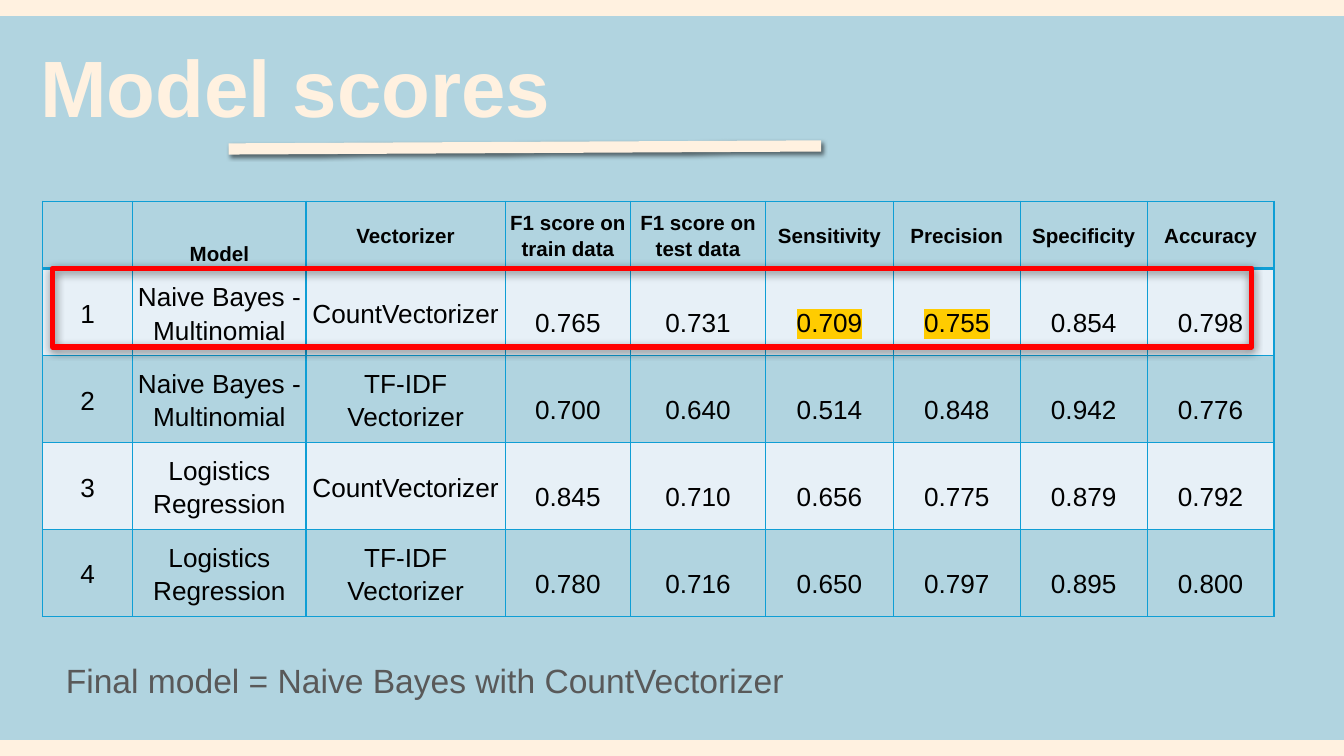
import pptx
import pptx.dml.color
import pptx.enum.shapes
import pptx.enum.text
import pptx.oxml
import pptx.oxml.ns
import pptx.util

Pt = pptx.util.Pt
Anchor = pptx.enum.text.MSO_ANCHOR
Align = pptx.enum.text.PP_ALIGN
NAMESPACE = 'xmlns:a="http://schemas.openxmlformats.org/drawingml/2006/main"'

CREAM, SKY, PALE = "FFF1E0", "B1D4E0", "E7F0F7"
BLACK, GREY, RED, BLUE, YELLOW = "000000", "595959", "FF0000", "0F9ED5", "FFCC00"

HEADERS = ["", "Model", "Vectorizer", "F1 score on train data", "F1 score on test data",
           "Sensitivity", "Precision", "Specificity", "Accuracy"]
SCORES = [
    ["1", "Naive Bayes - Multinomial", "CountVectorizer",
     "0.765", "0.731", "0.709", "0.755", "0.854", "0.798"],
    ["2", "Naive Bayes - Multinomial", "TF-IDF Vectorizer",
     "0.700", "0.640", "0.514", "0.848", "0.942", "0.776"],
    ["3", "Logistics Regression", "CountVectorizer",
     "0.845", "0.710", "0.656", "0.775", "0.879", "0.792"],
    ["4", "Logistics Regression", "TF-IDF Vectorizer",
     "0.780", "0.716", "0.650", "0.797", "0.895", "0.800"],
]
COLUMN_WIDTHS = [48.5, 92.8, 106.7, 67.2, 72.3, 68.5, 68, 68, 68]
HEADER_HEIGHT, ROW_HEIGHT = 36, 46.6
FIRST_SCORE_COLUMN = 3
HIGHLIGHTED = {(1, 5), (1, 6)}


def color(hex_string):
    return pptx.dml.color.RGBColor.from_string(hex_string)


def effects(shadow=None):
    """Effect list; shadow is (opacity %, blur, distance, direction in degrees)."""
    inner = ""
    if shadow:
        opacity, blur, distance, direction = shadow
        inner = (f'<a:outerShdw blurRad="{Pt(blur)}" dist="{Pt(distance)}" '
                 f'dir="{direction * 60000}" algn="bl" rotWithShape="0">'
                 f'<a:srgbClr val="{BLACK}"><a:alpha val="{opacity * 1000}"/></a:srgbClr>'
                 '</a:outerShdw>')
    return pptx.oxml.parse_xml(f"<a:effectLst {NAMESPACE}>{inner}</a:effectLst>")


def write(frame, text, size, hex_color, bold=False, align=Align.LEFT, anchor=Anchor.TOP,
          spacing=1.0, shadow=None, highlight=None):
    frame.word_wrap = True
    frame.vertical_anchor = anchor
    paragraph = frame.paragraphs[0]
    paragraph.alignment = align
    paragraph.line_spacing = spacing
    run = paragraph.add_run()
    run.text = text
    run.font.name = "Arial"
    run.font.size = Pt(size)
    run.font.bold = bold
    run.font.color.rgb = color(hex_color)
    fill = run.font._element.find(pptx.oxml.ns.qn("a:solidFill"))
    if highlight:
        fill.addnext(pptx.oxml.parse_xml(
            f'<a:highlight {NAMESPACE}><a:srgbClr val="{highlight}"/></a:highlight>'))
    if shadow:
        fill.addnext(effects(shadow))


def set_borders(cell, top, bottom):
    properties = cell._tc.get_or_add_tcPr()
    for side, width in (("L", 0.75), ("R", 0.75), ("T", top), ("B", bottom)):
        properties.append(pptx.oxml.parse_xml(
            f'<a:ln{side} {NAMESPACE} w="{Pt(width)}"><a:solidFill>'
            f'<a:srgbClr val="{BLUE}"/></a:solidFill></a:ln{side}>'))


class SlideBuilder:
    def __init__(self, slide, background):
        self.slide = slide
        slide.background.fill.solid()
        slide.background.fill.fore_color.rgb = color(background)

    def text(self, left, top, width, height, text, margins, **style):
        box = self.slide.shapes.add_textbox(Pt(left), Pt(top), Pt(width), Pt(height))
        frame = box.text_frame
        (frame.margin_left, frame.margin_top,
         frame.margin_right, frame.margin_bottom) = map(Pt, margins)
        write(frame, text, **style)

    def line(self, start, end, width, hex_color, shadow=None):
        connector = self.slide.shapes.add_connector(
            pptx.enum.shapes.MSO_CONNECTOR.STRAIGHT, *map(Pt, start + end))
        connector.line.color.rgb = color(hex_color)
        connector.line.width = Pt(width)
        connector._element.spPr.append(effects(shadow))

    def frame(self, left, top, width, height, line_width, hex_color, shadow):
        shape = self.slide.shapes.add_shape(
            pptx.enum.shapes.MSO_SHAPE.RECTANGLE, Pt(left), Pt(top), Pt(width), Pt(height))
        shape.fill.background()
        shape.line.color.rgb = color(hex_color)
        shape.line.width = Pt(line_width)
        shape._element.spPr.append(effects(shadow))

    def score_table(self, left, top):
        rows = [HEADERS] + SCORES
        heights = [HEADER_HEIGHT] + [ROW_HEIGHT] * len(SCORES)
        table = self.slide.shapes.add_table(
            len(rows), len(HEADERS), Pt(left), Pt(top),
            Pt(sum(COLUMN_WIDTHS)), Pt(sum(heights))).table
        table.first_row = table.horz_banding = False
        for column, width in zip(table.columns, COLUMN_WIDTHS):
            column.width = Pt(width)
        for row, height in zip(table.rows, heights):
            row.height = Pt(height)
        for row_index, row in enumerate(rows):
            for column_index, text in enumerate(row):
                self.score_cell(table.cell(row_index, column_index),
                                row_index, column_index, text)

    def score_cell(self, cell, row, column, text):
        header = row == 0
        set_borders(cell, 1.5 if row == 1 else 0.75, 1.5 if header else 0.75)
        if row % 2:
            cell.fill.solid()
            cell.fill.fore_color.rgb = color(PALE)
        else:
            cell.fill.background()
        cell.margin_left = cell.margin_right = Pt(1.4)
        cell.margin_top = cell.margin_bottom = Pt(0.7)
        cell.vertical_anchor = Anchor.MIDDLE
        if text == "Model":
            cell.vertical_anchor, cell.margin_bottom = Anchor.BOTTOM, Pt(1.4)
        elif not header and column >= FIRST_SCORE_COLUMN:
            cell.vertical_anchor, cell.margin_bottom = Anchor.BOTTOM, Pt(9)
        if text:
            write(cell.text_frame, text, 11 if header else 14, BLACK, bold=header,
                  align=Align.CENTER, anchor=cell.vertical_anchor, spacing=1.15,
                  highlight=YELLOW if (row, column) in HIGHLIGHTED else None)


def main():
    presentation = pptx.Presentation()
    presentation.slide_width, presentation.slide_height = Pt(720), Pt(405)
    slide = presentation.slides.add_slide(presentation.slide_layouts[6])
    builder = SlideBuilder(slide, SKY)

    builder.text(14.4, 25.2, 607.7, 53.3, "Model scores", (7.2, 4.3, 7.2, 7.2),
                 size=42.8, hex_color=CREAM, bold=True, anchor=Anchor.BOTTOM,
                 spacing=0.8, shadow=(60, 3, 3, 45))
    builder.line((439.9, 78.2), (122.5, 79.8), 6, CREAM, shadow=(52, 2.2, 1.5, 63))
    for y in (4.2, 401):
        builder.line((-3, y), (726, y), 9, CREAM)
    builder.score_table(22.7, 107.8)
    builder.frame(28.2, 143.8, 642.4, 42, 3, RED, shadow=(50, 4.5, 1.5, 90))
    builder.text(28.2, 346.3, 650, 31, "Final model = Naive Bayes with CountVectorizer",
                 (7.2, 7.2, 7.2, 7.2), size=18, hex_color=GREY)
    presentation.save("out.pptx")


if __name__ == "__main__":
    main()
